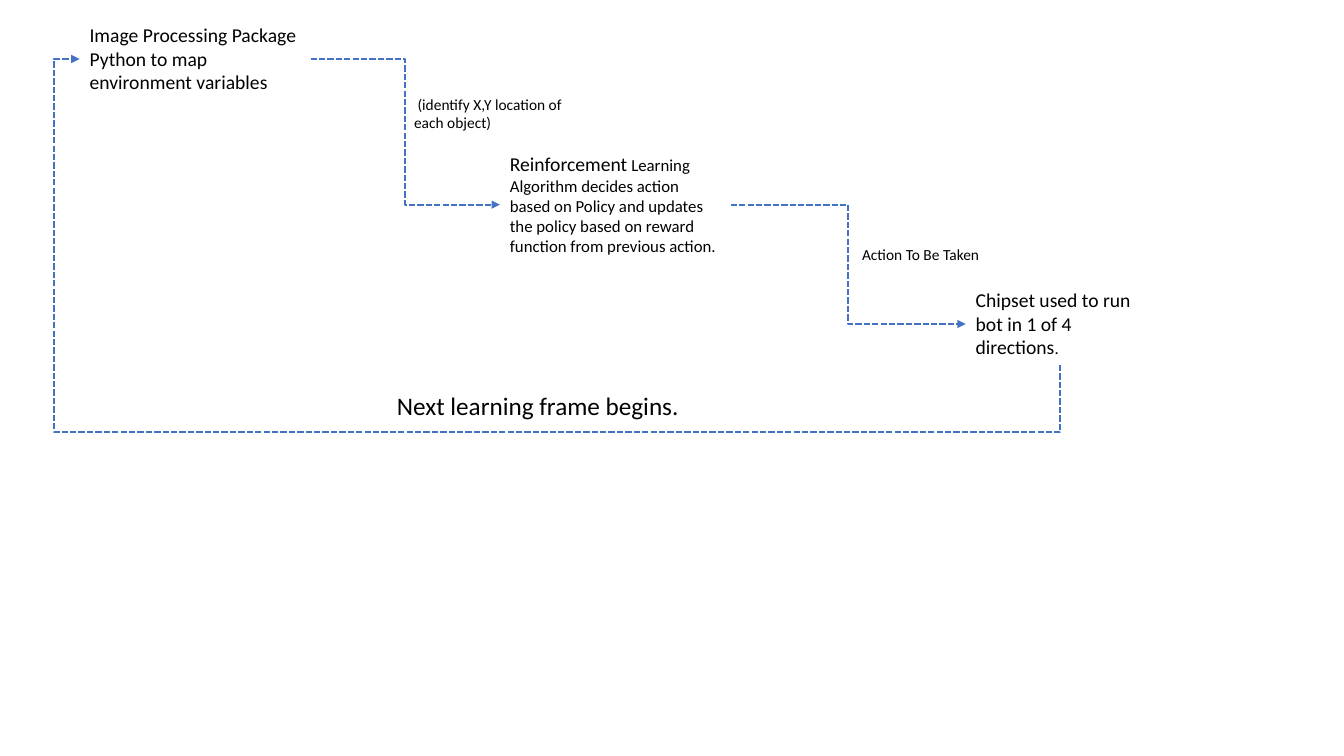
"""Build the learning loop slide: three steps joined by dashed elbow arrows."""
from lxml import etree
from pptx import Presentation
from pptx.dml.color import RGBColor
from pptx.enum.dml import MSO_LINE
from pptx.enum.shapes import MSO_CONNECTOR
from pptx.enum.text import MSO_AUTO_SIZE
from pptx.oxml.ns import qn
from pptx.util import Pt

ELBOW = MSO_CONNECTOR.ELBOW
DASH = MSO_LINE.SQUARE_DOT
GROW = MSO_AUTO_SIZE.SHAPE_TO_FIT_TEXT
BOTTOM, LEFT, RIGHT = 2, 1, 3


def color(value):
    return RGBColor.from_string(value)


def add_arrow(start, start_side, end, end_side):
    c = s.shapes.add_connector(ELBOW, 0, 0, 0, 0)
    c.begin_connect(start, start_side)
    c.end_connect(end, end_side)
    c.line.color.rgb = color("4472C4")
    c.line.width = Pt(1.5)
    c.line.dash_style = DASH
    etree.SubElement(c.line._ln, qn("a:tailEnd"), type="triangle")
    etree.SubElement(c._element.spPr, qn("a:effectLst"))
    return c


prs = Presentation()
prs.slide_width, prs.slide_height = Pt(960), Pt(540)
s = prs.slides.add_slide(prs.slide_layouts[6])

texts = [
    ("image", 56.9, 13, 164.9, 58.3,
     [("Image Processing Package Python to map environment variables", 14)]),
    ("policy", 357.1, 105.1, 164.9, 82.1,
     [("Reinforcement", 14),
      (" Learning Algorithm decides action based on Policy and updates the "
       "policy based on reward function from previous action.", 12)]),
    ("location", 288.7, 64.1, 133.9, 33.8,
     [(" (identify X,Y location of each object)", 11)]),
    ("action", 606.2, 171.4, 133.9, 20.9, [(" Action To Be Taken", 11)]),
    ("robot", 689.8, 202.3, 135.4, 58.3,
     [("Chipset used to run bot in 1 of 4 directions", 14), (".", 12)]),
    ("next", 276.5, 275, 237.6, 28.8, [("Next learning frame begins.", 18)]),
]
boxes = {}
for name, x, y, w, h, runs in texts:
    sp = s.shapes.add_textbox(Pt(x), Pt(y), Pt(w), Pt(h))
    tf = sp.text_frame
    tf.word_wrap = True
    tf.auto_size = GROW
    p = tf.paragraphs[0]
    p.font.name = "Calibri"
    p.font.color.rgb = color("000000")
    for text, size in runs:
        r = p.add_run()
        r.text = text
        r.font.size = Pt(size)
    boxes[name] = sp

add_arrow(boxes["image"], RIGHT, boxes["policy"], LEFT)
add_arrow(boxes["policy"], RIGHT, boxes["robot"], LEFT)

loop = add_arrow(boxes["robot"], BOTTOM, boxes["image"], LEFT)
x, y, w, h = loop.left, loop.top, loop.width, loop.height
loop.left, loop.top = x + (w - h) // 2, y + (h - w) // 2
loop.width, loop.height = h, w
xfrm = loop._element.spPr.find(qn("a:xfrm"))
xfrm.set("rot", "5400000")
xfrm.set("flipH", "1")
xfrm.set("flipV", "0")
geom = loop._element.spPr.find(qn("a:prstGeom"))
geom.set("prst", "bentConnector4")
guides = geom.find(qn("a:avLst"))
for name, value in (("adj1", -22100), ("adj2", 102600)):
    etree.SubElement(guides, qn("a:gd"), name=name, fmla=f"val {value}")

prs.save("out.pptx")
